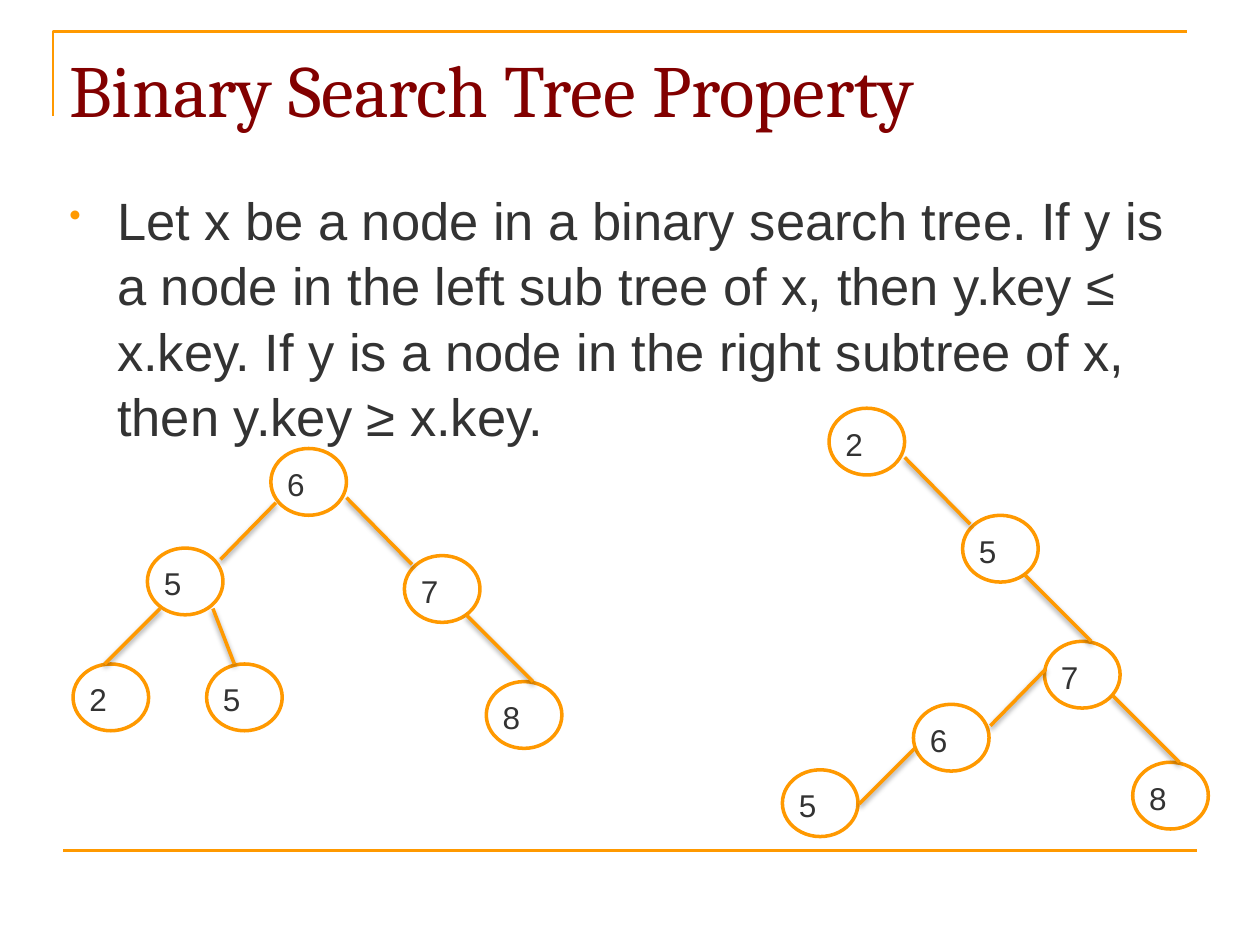
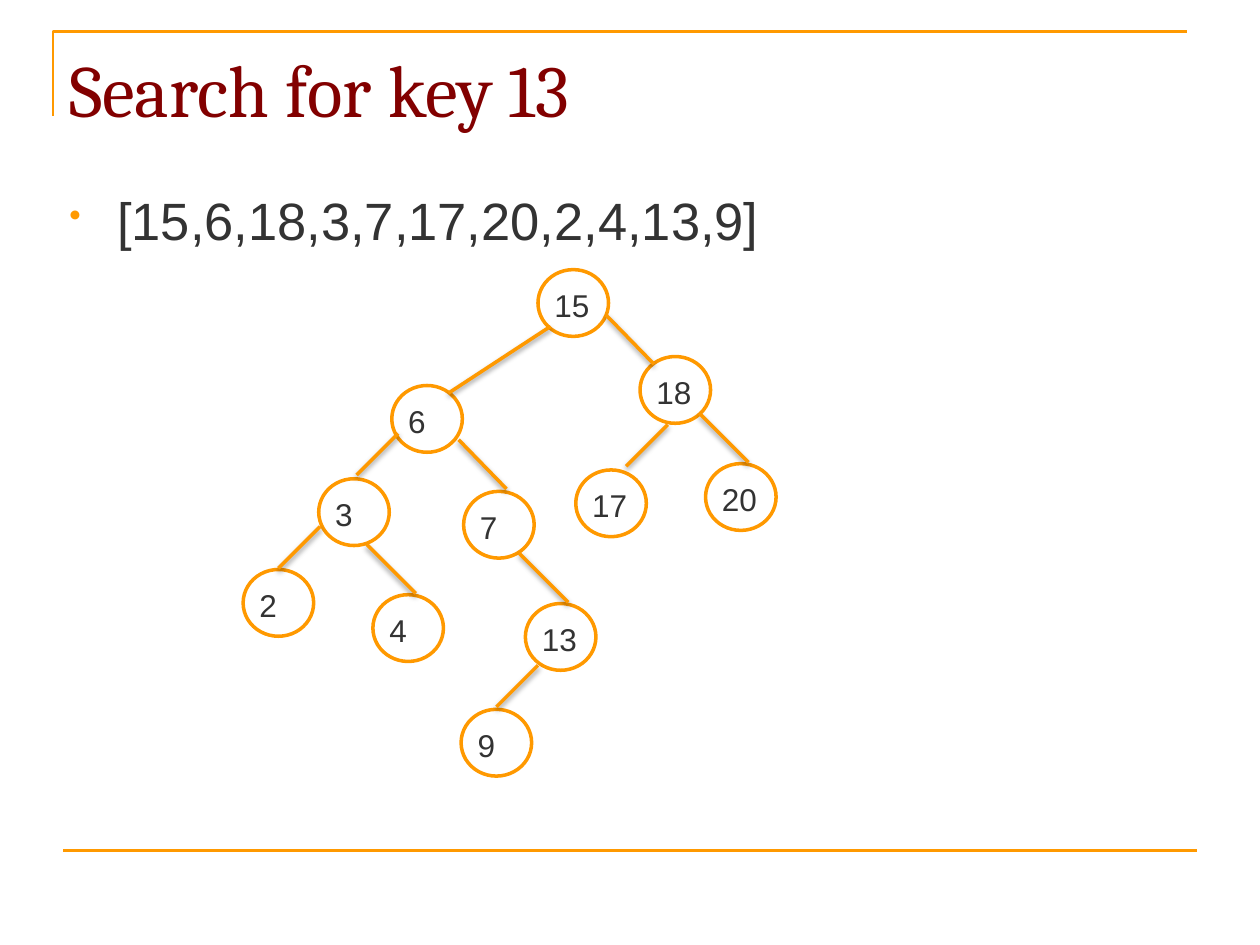
from lxml import etree
from pptx import Presentation
from pptx.dml.color import RGBColor
from pptx.enum.shapes import MSO_CONNECTOR, MSO_SHAPE
from pptx.enum.text import MSO_ANCHOR, PP_ALIGN
from pptx.oxml.ns import qn
from pptx.util import Inches, Pt

STRAIGHT = MSO_CONNECTOR.STRAIGHT
ELLIPSE = MSO_SHAPE.OVAL
LEFT = PP_ALIGN.LEFT
TOP = MSO_ANCHOR.TOP

ORANGE = "FF9900"
MAROON = "820000"
CHARCOAL = "333333"
WHITE = "FFFFFF"
BLACK = "000000"

NODE_HEIGHT = 0.53
LABEL_INSET = 0.08

PROPERTY_TEXT = (
    "Let x be a node in a binary search tree. If y is a node in the left sub tree "
    "of x, then y.key ≤ x.key. If y is a node in the right subtree of x, "
    "then y.key ≥ x.key."
)

BALANCED_NODES = [
    ("6", 2.15, 3.56), ("5", 1.17, 4.35), ("2", 0.58, 5.27),
    ("5", 1.64, 5.27), ("7", 3.21, 4.41), ("8", 3.86, 5.41),
]
BALANCED_EDGES = [
    (1.75, 4.44, 2.19, 3.99), (0.83, 5.27, 1.27, 4.83), (1.86, 5.27, 1.69, 4.83),
    (3.27, 4.48, 2.75, 3.95), (4.23, 5.41, 3.7, 4.88),
]
UNBALANCED_NODES = [
    ("2", 6.58, 3.24), ("5", 7.64, 4.09), ("7", 8.29, 5.09),
    ("8", 8.99, 6.05), ("6", 7.25, 5.59), ("5", 6.21, 6.11),
]
UNBALANCED_EDGES = [
    (7.86, 5.76, 8.3, 5.31), (7.7, 4.16, 7.18, 3.63), (8.66, 5.09, 8.13, 4.56),
    (9.36, 6.05, 8.83, 5.52), (6.82, 6.38, 7.26, 5.94),
]
SEARCH_NODES = [
    ("15", 4.27, 2.14), ("6", 3.11, 3.06), ("18", 5.08, 2.83), ("3", 2.53, 3.8),
    ("7", 3.68, 3.9), ("17", 4.57, 3.73), ("20", 5.6, 3.68), ("2", 1.93, 4.52),
    ("4", 2.96, 4.72), ("13", 4.17, 4.79), ("9", 3.66, 5.63),
]
SEARCH_EDGES = [
    (3.56, 3.12, 4.37, 2.59), (5.19, 2.89, 4.81, 2.5), (2.83, 3.77, 3.16, 3.44),
    (4.02, 3.88, 3.64, 3.49), (4.97, 3.7, 5.3, 3.37), (5.94, 3.67, 5.55, 3.28),
    (2.21, 4.51, 2.54, 4.18), (3.3, 4.71, 2.91, 4.32), (4.51, 4.78, 4.12, 4.39),
    (3.94, 5.61, 4.27, 5.28),
]


def color(value):
    return RGBColor.from_string(value)


def add_child(parent, tag, **attributes):
    return etree.SubElement(parent, qn(tag), attributes)


def style_line(shape, width):
    shape.line.color.rgb = color(ORANGE)
    shape.line.width = Pt(width)


def add_text(shapes, text, left, top, width, height, *, size, font="Arial", text_color=CHARCOAL):
    box = shapes.add_textbox(Inches(left), Inches(top), Inches(width), Inches(height))
    frame = box.text_frame
    frame.word_wrap = True
    frame.vertical_anchor = TOP
    frame.margin_left = frame.margin_right = Inches(0.05)
    frame.margin_top = frame.margin_bottom = Inches(0.05)
    paragraph = frame.paragraphs[0]
    paragraph.alignment = LEFT
    run = paragraph.add_run()
    run.text = text
    run.font.size = Pt(size)
    run.font.name = font
    run.font.color.rgb = color(text_color)
    return paragraph


def add_bullet(paragraph):
    paragraph.space_before = Pt(7)
    paragraph.line_spacing = 1.04
    properties = paragraph._p.get_or_add_pPr()
    indent = Inches(0.38)
    properties.set("marL", str(indent))
    properties.set("indent", str(-indent))
    bullet_color = add_child(properties, "a:buClr")
    add_child(bullet_color, "a:srgbClr", val=ORANGE)
    add_child(properties, "a:buSzPct", val="65000")
    add_child(properties, "a:buChar", char="•")


def add_line(slide, start_x, start_y, end_x, end_y, *, width, shadow=False):
    connector = slide.shapes.add_connector(
        STRAIGHT, Inches(start_x), Inches(start_y), Inches(end_x), Inches(end_y))
    style_line(connector, width)
    effects = add_child(connector._element.spPr, "a:effectLst")
    if shadow:
        outer = add_child(effects, "a:outerShdw", blurRad=str(Pt(3)), dist=str(Pt(1.6)),
                          dir="5400000", rotWithShape="0")
        shadow_color = add_child(outer, "a:srgbClr", val=BLACK)
        add_child(shadow_color, "a:alpha", val="38000")


def add_corner(slide):
    builder = slide.shapes.build_freeform(Inches(0.42), Inches(0.92))
    builder.add_line_segments(
        [(Inches(0.42), Inches(0.25)), (Inches(9.42), Inches(0.25))], close=False)
    corner = builder.convert_to_shape()
    corner.shadow.inherit = False
    corner.fill.background()
    style_line(corner, 1.5)


def add_node(slide, key, left, top, width):
    group = slide.shapes.add_group_shape()
    ellipse = group.shapes.add_shape(
        ELLIPSE, Inches(left), Inches(top), Inches(width), Inches(NODE_HEIGHT))
    ellipse.shadow.inherit = False
    ellipse.fill.solid()
    ellipse.fill.fore_color.rgb = color(WHITE)
    style_line(ellipse, 2)
    add_text(group.shapes, key, left + LABEL_INSET, top + LABEL_INSET,
             width - 2 * LABEL_INSET, 0.38, size=18)


def add_tree(slide, nodes, edges, node_width):
    for key, left, top in nodes:
        add_node(slide, key, left, top, node_width)
    for edge in edges:
        add_line(slide, *edge, width=2, shadow=True)


def add_content_slide(presentation, title, body):
    slide = presentation.slides.add_slide(presentation.slide_layouts[6])
    add_corner(slide)
    add_line(slide, 0.5, 6.75, 9.5, 6.75, width=1.5)
    add_text(slide.shapes, title, 0.5, 0.3, 9, 1.03,
             size=42, font="Cambria", text_color=MAROON)
    add_bullet(add_text(slide.shapes, body, 0.5, 1.42, 9, 5.2, size=30))
    return slide


def main():
    presentation = Presentation()
    presentation.slide_width = Inches(10)
    presentation.slide_height = Inches(7.5)

    slide = add_content_slide(presentation, "Binary Search Tree Property", PROPERTY_TEXT)
    add_tree(slide, BALANCED_NODES, BALANCED_EDGES, 0.6)
    add_tree(slide, UNBALANCED_NODES, UNBALANCED_EDGES, 0.6)

    slide = add_content_slide(presentation, "Search for key 13", "[15,6,18,3,7,17,20,2,4,13,9]")
    add_tree(slide, SEARCH_NODES, SEARCH_EDGES, 0.56)

    presentation.save("out.pptx")


main()
